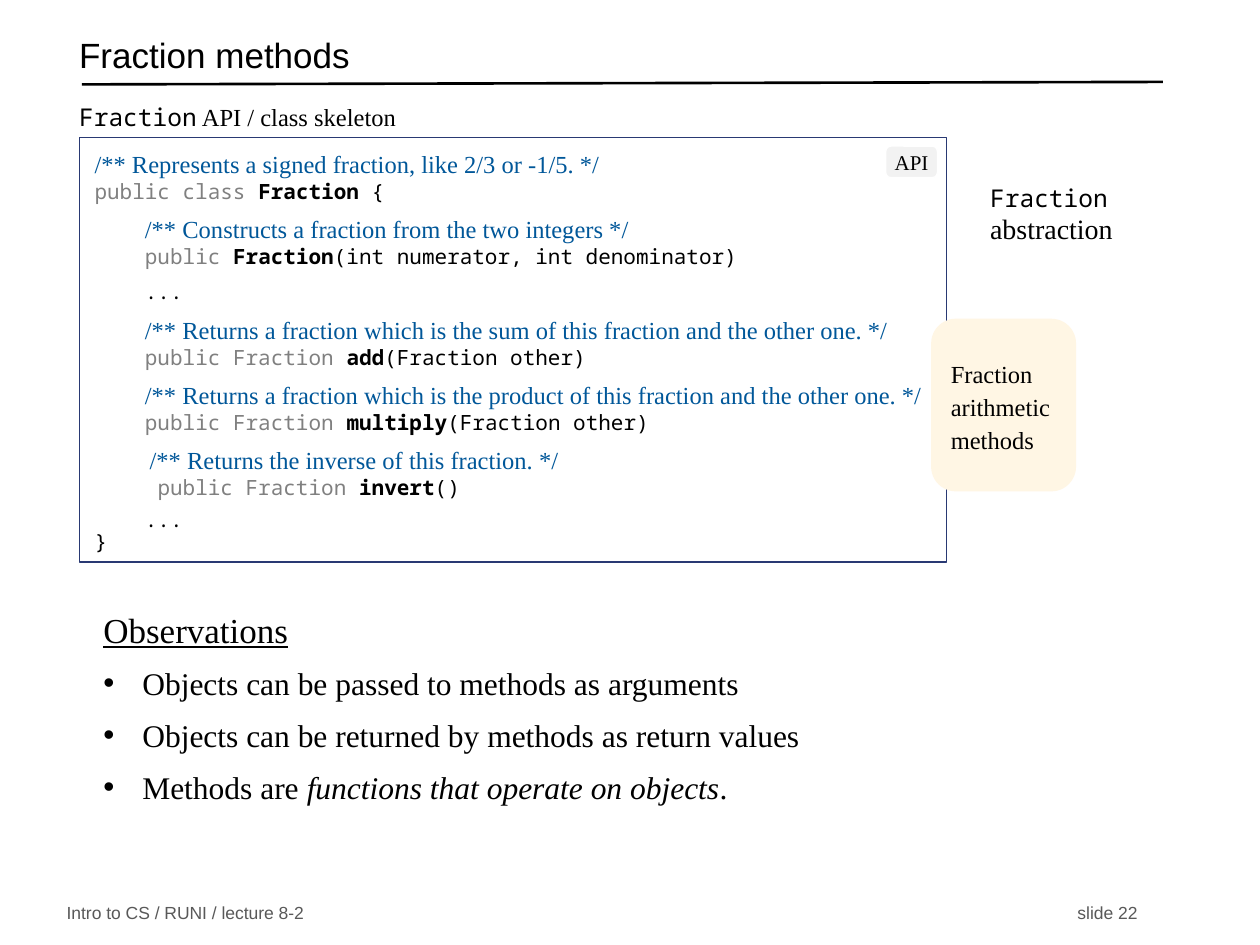
from dataclasses import dataclass, field
from typing import Optional, Union

from lxml.etree import SubElement
from pptx import Presentation
from pptx.dml.color import RGBColor
from pptx.enum.shapes import MSO_CONNECTOR, MSO_SHAPE as Preset
from pptx.enum.text import MSO_ANCHOR as Anchor, PP_ALIGN as Align
from pptx.oxml.ns import qn
from pptx.util import Inches, Length, Pt

BLACK = RGBColor(0, 0, 0)
WHITE = RGBColor(255, 255, 255)
GRAY = RGBColor(0x80, 0x80, 0x80)
FOOTER_GRAY = RGBColor(0x59, 0x59, 0x59)
COMMENT_BLUE = RGBColor(0, 0x57, 0x99)
FRAME_BLUE = RGBColor(0x29, 0x39, 0x73)
TAG_GRAY = RGBColor(0xF2, 0xF2, 0xF2)
CREAM = RGBColor(0xFF, 0xF6, 0xE4)
SANS, SERIF, MONO = "Arial", "Times New Roman", "Noto Sans Mono"


@dataclass
class Run:
    text: str
    size: float = 12
    name: str = SERIF
    color: RGBColor = BLACK
    style: dict = field(default_factory=dict)


@dataclass
class Para:
    runs: list[Run]
    format: dict = field(default_factory=dict)
    bullet: bool = False
    right_tab: Optional[Length] = None


@dataclass
class Box:
    at: tuple[float, float, float, float]
    paras: list[Para]
    preset: Optional[Preset] = None
    fill: Optional[RGBColor] = None
    line: Optional[RGBColor] = None
    corner: Optional[float] = None
    anchor: Anchor = Anchor.MIDDLE
    insets: tuple[float, float, float, float] = (0.1, 0.05, 0.1, 0.05)


def code(text: str, color: RGBColor = BLACK, **style: bool) -> Run:
    return Run(text, 12, MONO, color, style)


def comment(text: str, indent: str = "    ") -> Para:
    runs = [code(indent)] if indent else []
    return Para(runs + [Run(text, 14, SERIF, COMMENT_BLUE)],
                {"space_before": Pt(6)} if indent else {})


def signature(lead: str, name: str, rest: str, indent: str = "    ") -> Para:
    """One declaration line, with the declared name in bold."""
    runs = [code(indent)] if indent else []
    return Para(runs + [code(lead, GRAY), code(name, bold=True), code(rest)])


def bullet(*runs: Run) -> Para:
    return Para(list(runs), {"space_before": Pt(8)}, bullet=True)


def write_para(paragraph, para: Para) -> None:
    properties = paragraph._p.get_or_add_pPr()
    if para.bullet:
        properties.set("marL", str(Inches(0.31)))
        properties.set("indent", str(-Inches(0.31)))
        SubElement(properties, qn("a:buFont"), typeface=SANS)
        SubElement(properties, qn("a:buChar"), char="•")
    if para.right_tab:
        tabs = SubElement(properties, qn("a:tabLst"))
        SubElement(tabs, qn("a:tab"), pos=str(para.right_tab), algn="r")
    for key, value in {"alignment": Align.LEFT, **para.format}.items():
        setattr(paragraph, key, value)
    for part in para.runs:
        run = paragraph.add_run()
        run.text = part.text
        look = {"size": Pt(part.size), "name": part.name, **part.style}
        for key, value in look.items():
            setattr(run.font, key, value)
        run.font.color.rgb = part.color


def paint(shape, box: Box) -> None:
    shape.shadow.inherit = False
    if box.corner is not None:
        shape.adjustments[0] = box.corner
    if box.fill is None:
        shape.fill.background()
    else:
        shape.fill.solid()
        shape.fill.fore_color.rgb = box.fill
    if box.line is None:
        shape.line.fill.background()
    else:
        shape.line.color.rgb = box.line
        shape.line.width = Pt(0.75)


def draw_box(slide, box: Box) -> None:
    place = [Inches(length) for length in box.at]
    if box.preset is None:
        shape = slide.shapes.add_textbox(*place)
    else:
        shape = slide.shapes.add_shape(box.preset, *place)
        paint(shape, box)
    frame = shape.text_frame
    left, top, right, bottom = (Inches(inset) for inset in box.insets)
    layout: dict[str, Union[bool, Anchor, Length]] = {
        "word_wrap": True, "vertical_anchor": box.anchor,
        "margin_left": left, "margin_top": top,
        "margin_right": right, "margin_bottom": bottom,
    }
    for key, value in layout.items():
        setattr(frame, key, value)
    for index, para in enumerate(box.paras):
        paragraph = frame.add_paragraph() if index else frame.paragraphs[0]
        write_para(paragraph, para)


def draw_title_rule(slide) -> None:
    rule = slide.shapes.add_connector(MSO_CONNECTOR.STRAIGHT, Inches(0.65), Inches(0.67),
                                      Inches(9.23), Inches(0.65))
    rule.line.color.rgb = BLACK
    rule.line.width = Pt(1.5)
    SubElement(rule._element.spPr, qn("a:effectLst"))


ELLIPSIS = "    ..."
TIGHT = Pt(12.4)
SKELETON = [
    comment("/** Represents a signed fraction, like 2/3 or -1/5. */", indent=""),
    signature("public class ", "Fraction", " {", indent=""),
    comment("/** Constructs a fraction from the two integers */"),
    signature("public ", "Fraction", "(int numerator, int denominator)"),
    Para([code(ELLIPSIS)], {"space_before": Pt(6)}),
    comment("/** Returns a fraction which is the sum of this fraction and the other one. */"),
    signature("public Fraction ", "add", "(Fraction other)"),
    comment("/** Returns a fraction which is the product of this fraction and the other one. */"),
    signature("public Fraction ", "multiply", "(Fraction other)"),
    Para([Run("         /** Returns the inverse of this fraction. */", 14, SERIF, COMMENT_BLUE)],
         {"space_before": Pt(6)}),
    signature("public Fraction ", "invert", "()", indent="     "),
    Para([code(ELLIPSIS)], {"space_before": Pt(6), "line_spacing": TIGHT}),
    Para([code("}")], {"line_spacing": TIGHT}),
]
OBSERVATIONS = [
    Para([Run("Observations", 20, style={"underline": True})]),
    bullet(Run("Objects can be passed to methods as arguments", 18)),
    bullet(Run("Objects can be returned by methods as return values", 18)),
    bullet(Run("Methods are ", 18),
           Run("functions that operate on objects", 18, style={"italic": True}),
           Run(".", 18)),
]
BOXES = [
    Box((0.43, 7.14, 8.71, 0.21),
        [Para([Run("Intro to CS / RUNI / lecture 8-2\tslide 22", 10, SANS, FOOTER_GRAY)],
              right_tab=Inches(8.5))]),
    Box((0.53, 0.22, 8.6, 0.5),
        [Para([Run("Fraction methods", 20, SANS)], {"line_spacing": 0.7})]),
    Box((0.63, 1.09, 6.88, 3.37), SKELETON, Preset.RECTANGLE, line=FRAME_BLUE,
        anchor=Anchor.TOP, insets=(0.12, 0.09, 0, 0)),
    Box((0.63, 4.69, 7.98, 1.84), OBSERVATIONS, Preset.ROUNDED_RECTANGLE, fill=WHITE,
        corner=0.17, insets=(0.1, 0.05, 0, 0.05)),
    Box((0.53, 0.76, 3.7, 0.34),
        [Para([Run("Fraction", 14, MONO), Run(" API / class skeleton", 14)])],
        anchor=Anchor.TOP),
    Box((7.76, 1.4, 1.55, 0.61),
        [Para([Run("Fraction ", 14, MONO), Run("abstraction", 16)])], anchor=Anchor.TOP),
    Box((7.03, 1.16, 0.41, 0.25), [Para([Run("API")], {"alignment": Align.CENTER})],
        Preset.ROUNDED_RECTANGLE, fill=TAG_GRAY, line=WHITE, insets=(0, 0.05, 0, 0.05)),
    Box((7.39, 2.53, 1.15, 1.37),
        [Para([Run("Fraction arithmetic methods", 14)], {"line_spacing": Pt(18.8)})],
        Preset.ROUNDED_RECTANGLE, fill=CREAM, corner=0.17, insets=(0.1, 0.05, 0.08, 0.05)),
]


def main() -> None:
    deck = Presentation()
    deck.slide_width, deck.slide_height = Inches(10), Inches(7.5)
    slide = deck.slides.add_slide(deck.slide_layouts[6])
    draw_title_rule(slide)
    for box in BOXES:
        draw_box(slide, box)
    deck.save("out.pptx")


if __name__ == "__main__":
    main()
